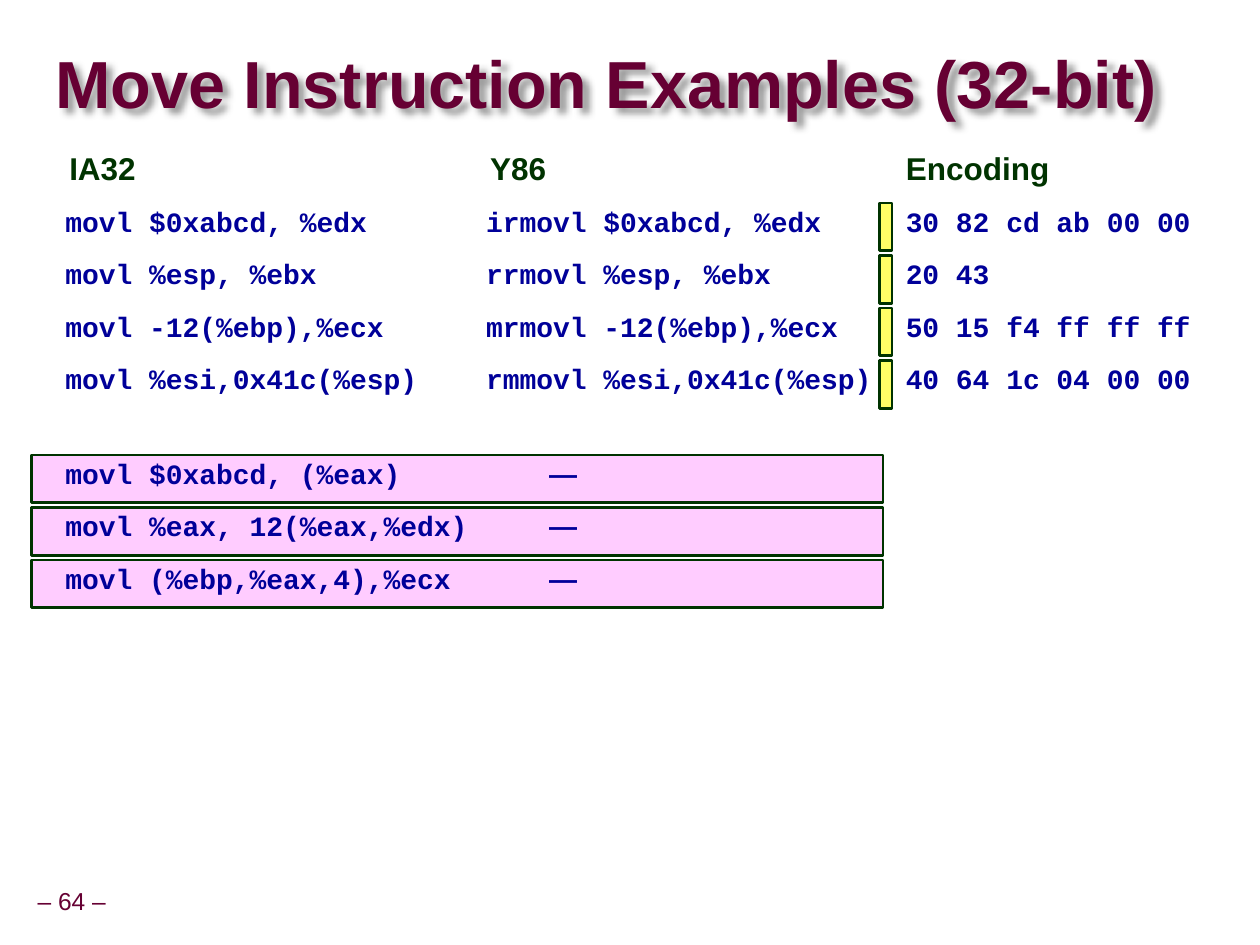
from lxml.etree import SubElement
from pptx import Presentation
from pptx.dml.color import RGBColor
from pptx.enum.shapes import MSO_SHAPE
from pptx.enum.text import MSO_ANCHOR, MSO_AUTO_SIZE, PP_ALIGN
from pptx.oxml.ns import qn
from pptx.util import Inches, Pt

MAROON = RGBColor(0x66, 0x00, 0x33)
GREEN = RGBColor(0x00, 0x33, 0x00)
NAVY = RGBColor(0x00, 0x00, 0x99)
YELLOW = RGBColor(0xFF, 0xFF, 0x66)
PINK = RGBColor(0xFF, 0xCC, 0xFF)

COLUMNS = (0.42, 3.76, 7.09)
CELL_WIDTH = 2.42
CELL_HEIGHT = 0.33
ROW_PITCH = 0.417
BAR_DROP = 0.02
BAR_HEIGHT = 0.38

HEADINGS = (("IA32", 0.5, 0.64), ("Y86", 3.84, 0.55), ("Encoding", 7.14, 1.25))
ENCODED_MOVES = (
    ("movl $0xabcd, %edx", "irmovl $0xabcd, %edx", "30 82 cd ab 00 00"),
    ("movl %esp, %ebx", "rrmovl %esp, %ebx", "20 43"),
    ("movl -12(%ebp),%ecx", "mrmovl -12(%ebp),%ecx", "50 15 f4 ff ff ff"),
    ("movl %esi,0x41c(%esp)", "rmmovl %esi,0x41c(%esp)", "40 64 1c 04 00 00"),
)
UNSUPPORTED_MOVES = (
    "movl $0xabcd, (%eax)",
    "movl %eax, 12(%eax,%edx)",
    "movl (%ebp,%eax,4),%ecx",
)


def write_text(shape, text, size, color, font="Arial", bold=True, inset=(0.05, 0.05),
               spacing=None, align=PP_ALIGN.LEFT, anchor=MSO_ANCHOR.MIDDLE, wrap=False):
    frame = shape.text_frame
    frame.auto_size = MSO_AUTO_SIZE.NONE
    frame.word_wrap = wrap
    frame.vertical_anchor = anchor
    frame.margin_left = frame.margin_right = Inches(inset[0])
    frame.margin_top = frame.margin_bottom = Inches(inset[1])
    frame.text = text
    paragraph = frame.paragraphs[0]
    paragraph.alignment = align
    paragraph.line_spacing = spacing
    paragraph.font.name = font
    paragraph.font.size = Pt(size)
    paragraph.font.bold = bold
    paragraph.font.color.rgb = color


def add_text(shapes, box, text, size, color, **text_format):
    write_text(shapes.add_textbox(*map(Inches, box)), text, size, color, **text_format)


def add_cell(shapes, column, top, text, font="Courier New"):
    box = (COLUMNS[column], top, CELL_WIDTH, CELL_HEIGHT)
    add_text(shapes, box, text, 16, NAVY, font=font, inset=(0.1, 0.05))


def add_bar(shapes, left, row_top, width, fill):
    box = (left, row_top + BAR_DROP, width, BAR_HEIGHT)
    bar = shapes.add_shape(MSO_SHAPE.RECTANGLE, *map(Inches, box))
    bar.shadow.inherit = False
    bar.fill.solid()
    bar.fill.fore_color.rgb = fill
    bar.line.color.rgb = GREEN
    bar.line.width = Pt(1.5)


def add_text_shadow(shape):
    """Give an unfilled shape a soft grey shadow, which falls behind its text."""
    effects = SubElement(shape.element.spPr, qn("a:effectLst"))
    shadow = SubElement(effects, qn("a:outerShdw"), blurRad=str(Pt(4)),
                        dist=str(Pt(4)), dir="2700000", algn="tl", rotWithShape="0")
    color = SubElement(shadow, qn("a:srgbClr"), val="000000")
    SubElement(color, qn("a:alpha"), val="40000")


def place_title(title, box):
    title.left, title.top, title.width, title.height = map(Inches, box)
    write_text(title, "Move Instruction Examples (32-bit)", 38, MAROON,
               inset=(0, 0), spacing=0.87, wrap=True)
    add_text_shadow(title)


def add_headings(shapes, top):
    for text, left, width in HEADINGS:
        add_text(shapes, (left, top, width, 0.38), text, 18, GREEN,
                 spacing=0.9, anchor=MSO_ANCHOR.TOP)


def add_encoded_moves(shapes, top):
    for row, texts in enumerate(ENCODED_MOVES):
        row_top = top + row * ROW_PITCH
        group = shapes.add_group_shape().shapes
        add_bar(group, 6.98, row_top, 0.1, YELLOW)
        for column, text in enumerate(texts):
            add_cell(group, column, row_top, text)


def add_unsupported_moves(shapes, top):
    group = shapes.add_group_shape().shapes
    for row, text in enumerate(UNSUPPORTED_MOVES):
        row_top = top + row * ROW_PITCH
        add_bar(group, 0.25, row_top, 6.76, PINK)
        add_cell(group, 0, row_top, text)
        add_cell(group, 1, row_top, "\t—", font="Arial")


def main():
    presentation = Presentation()
    presentation.slide_width, presentation.slide_height = Inches(10), Inches(7.5)
    slide = presentation.slides.add_slide(presentation.slide_layouts.get_by_name("Title Only"))
    shapes = slide.shapes
    place_title(shapes.title, (0.44, 0.27, 9.53, 0.85))
    add_headings(shapes, 1.17)
    add_encoded_moves(shapes, 1.59)
    add_unsupported_moves(shapes, 3.59)
    add_text(shapes, (0.23, 7, 0.68, 0.32), "– 64 –", 14, MAROON, bold=False,
             spacing=0.9, align=PP_ALIGN.CENTER)
    presentation.save("out.pptx")


if __name__ == "__main__":
    main()
